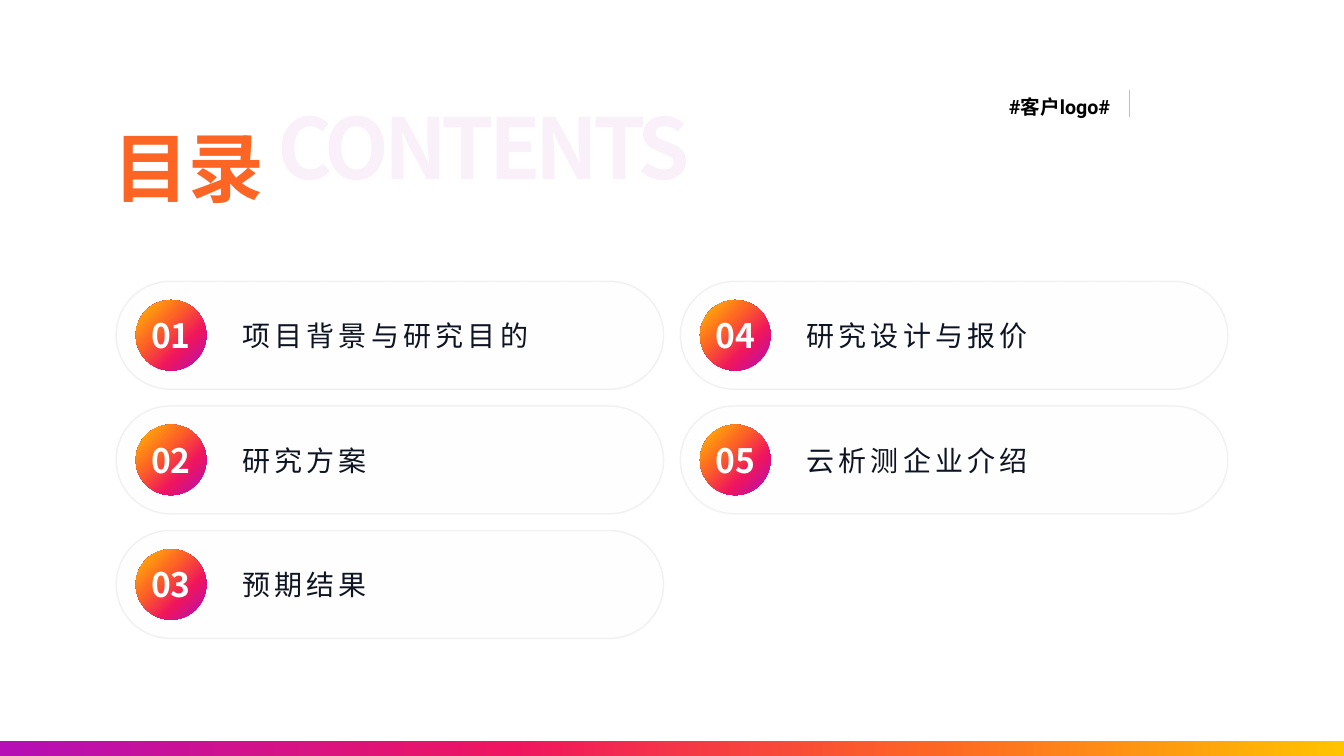
from lxml import etree
from pptx import Presentation
from pptx.dml.color import RGBColor
from pptx.enum.shapes import MSO_CONNECTOR, MSO_SHAPE
from pptx.enum.text import MSO_ANCHOR, PP_ALIGN
from pptx.oxml.ns import qn
from pptx.util import Pt

LEFT, CENTER = PP_ALIGN.LEFT, PP_ALIGN.CENTER
TOP, MIDDLE = MSO_ANCHOR.TOP, MSO_ANCHOR.MIDDLE
RECT, PILL, OVAL = MSO_SHAPE.RECTANGLE, MSO_SHAPE.ROUNDED_RECTANGLE, MSO_SHAPE.OVAL
STRAIGHT = MSO_CONNECTOR.STRAIGHT

# Content
TITLE = "目录"
TITLE_EN = "CONTENTS"
CLIENT = "#客户logo#"
CHAPTERS = ["项目背景与研究目的", "研究方案", "预期结果", "研究设计与报价", "云析测企业介绍"]

# Theme
PURPLE, PINK, ORANGE, YELLOW = "B50FB5", "EF155F", "FD6525", "FFC300"
THEME = {
    "latin": "Roboto", "cjk": "Noto Sans CJK SC",
    "white": "FFFFFF", "ink": "0F1423", "black": "000000",
    "rule": "BFBFBF", "pill_line": "E6E6E6",
    "title": 54, "title_en": 60, "number": 24, "chapter": 20, "client": 14,
    # gradient stops: position, colour, opacity; then the angle
    "bar": ([(0, PURPLE, 100), (38, PINK, 100), (69, ORANGE, 100), (100, YELLOW, 100)], 0),
    "badge": ([(2, PURPLE, 100), (33, PINK, 100), (63, ORANGE, 100), (100, YELLOW, 100)], 225),
    "title_fill": ([(0, YELLOW, 100), (32, ORANGE, 100), (66, PINK, 100), (100, PURPLE, 100)], 180),
    "pill": ([(0, "FFFFFF", 100), (100, "FFFFFF", 0)], 0),
}

# Layout in points
SLIDE_W, SLIDE_H, BAR_H = 960, 540, 10.8
GRID_X, GRID_Y, ROWS = 83, 201, 3
PILL_W, PILL_H, GAP_X, GAP_Y = 391, 77, 12, 12
BADGE, BADGE_X = 50.4, 14
LABEL_X, LABEL_W, LABEL_H = 90, 277, 53
RULE_X, RULE_TOP, RULE_BOTTOM = 807, 64, 83.5


def set_alpha(color, percent):
    etree.SubElement(color, qn("a:alpha")).set("val", str(percent * 1000))


def set_gradient(fill, parent, gradient):
    stops, angle = gradient
    fill.gradient()
    grad = parent.find(qn("a:gradFill"))
    stop_list = grad.find(qn("a:gsLst"))
    for old in list(stop_list):
        stop_list.remove(old)
    for position, value, opacity in stops:
        stop = etree.SubElement(stop_list, qn("a:gs"))
        stop.set("pos", str(position * 1000))
        color = etree.SubElement(stop, qn("a:srgbClr"))
        color.set("val", value)
        if opacity < 100:
            set_alpha(color, opacity)
    grad.find(qn("a:lin")).set("ang", str(angle * 60000))


def add_gradient_shape(shapes, kind, x, y, w, h, gradient):
    sp = shapes.add_shape(kind, Pt(x), Pt(y), Pt(w), Pt(h))
    sp.shadow.inherit = False
    sp.line.fill.background()
    set_gradient(sp.fill, sp._element.spPr, THEME[gradient])
    return sp


def write(sp, text, size, color, font="latin", bold=False, align=LEFT,
          anchor=MIDDLE, inset=(0, 0), spacing=0):
    tf = sp.text_frame
    tf.word_wrap = True
    tf.vertical_anchor = anchor
    tf.margin_left = tf.margin_right = Pt(inset[0])
    tf.margin_top = tf.margin_bottom = Pt(inset[1])
    tf.text = text
    p = tf.paragraphs[0]
    p.alignment = align
    r = p.runs[0]
    r.font.name = THEME[font]
    r.font.size = Pt(THEME[size])
    r.font.bold = bold
    r.font.color.rgb = RGBColor.from_string(color)
    rPr = r._r.get_or_add_rPr()
    etree.SubElement(rPr, qn("a:ea")).set("typeface", THEME["cjk"])
    if spacing:
        rPr.set("spc", str(round(spacing * 100)))
    return r


def add_text(shapes, x, y, w, h, *args, **kwargs):
    return write(shapes.add_textbox(Pt(x), Pt(y), Pt(w), Pt(h)), *args, **kwargs)


def add_chapter(slide, index, name):
    col, row = divmod(index, ROWS)
    x = GRID_X + col * (PILL_W + GAP_X)
    y = GRID_Y + row * (PILL_H + GAP_Y)
    shapes = slide.shapes.add_group_shape().shapes

    pill = add_gradient_shape(shapes, PILL, x, y, PILL_W, PILL_H, "pill")
    pill.adjustments[0] = 0.5
    pill.line.color.rgb = RGBColor.from_string(THEME["pill_line"])
    pill.line.width = Pt(1.09)
    set_alpha(pill.line._ln.find(".//" + qn("a:srgbClr")), 50)

    badge = add_gradient_shape(shapes, OVAL, x + BADGE_X, y + (PILL_H - BADGE) / 2,
                               BADGE, BADGE, "badge")
    write(badge, f"{index + 1:02d}", "number", THEME["white"], "cjk", True, CENTER)
    add_text(shapes, x + LABEL_X, y + (PILL_H - LABEL_H) / 2, LABEL_W, LABEL_H,
             name, "chapter", THEME["ink"], spacing=3)


def main():
    prs = Presentation()
    prs.slide_width, prs.slide_height = Pt(SLIDE_W), Pt(SLIDE_H)
    slide = prs.slides.add_slide(prs.slide_layouts[6])
    shapes = slide.shapes

    # Bottom bar
    add_gradient_shape(shapes, RECT, 0, SLIDE_H - BAR_H, SLIDE_W, BAR_H, "bar")

    # Heading
    r = add_text(shapes, 198.6, 68, 310, 87, TITLE_EN, "title_en", PURPLE, "cjk", True,
                 anchor=TOP, spacing=-3.7)
    set_alpha(r._r.rPr.find(".//" + qn("a:srgbClr")), 5)
    r = add_text(shapes, 60.5, 87, 149, 63.5, TITLE, "title", ORANGE, bold=True, align=CENTER)
    set_gradient(r.font.fill, r._r.rPr, THEME["title_fill"])

    # Chapters
    for index, name in enumerate(CHAPTERS):
        add_chapter(slide, index, name)

    # Client mark
    rule = shapes.add_connector(STRAIGHT, Pt(RULE_X), Pt(RULE_TOP), Pt(RULE_X), Pt(RULE_BOTTOM))
    rule.line.color.rgb = RGBColor.from_string(THEME["rule"])
    rule.line.width = Pt(1)
    etree.SubElement(rule._element.spPr, qn("a:effectLst"))
    add_text(shapes, 713.5, 64, 93.5, 24.5, CLIENT, "client", THEME["black"], bold=True,
             anchor=TOP, inset=(7.2, 3.6))

    prs.save("out.pptx")


if __name__ == "__main__":
    main()
